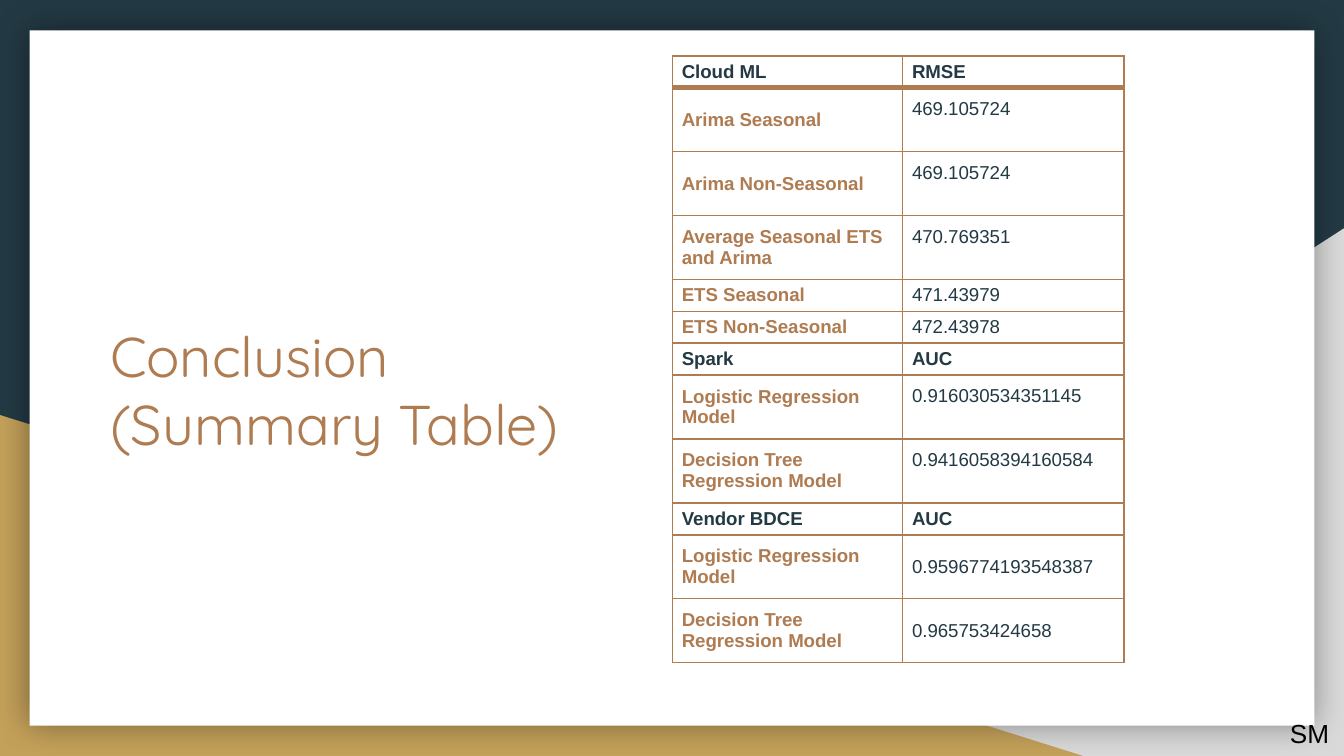
from dataclasses import dataclass

from lxml import etree
from pptx import Presentation
from pptx import util as u
from pptx.dml.color import RGBColor
from pptx.enum import shapes, text
from pptx.oxml import ns


@dataclass(frozen=True)
class Theme:
    navy: str = "233A44"
    copper: str = "AF7B51"
    gold: str = "C4A15A"
    grey: str = "D9D9D9"
    white: str = "FFFFFF"
    black: str = "000000"
    body_font: str = "Arial"
    title_font: str = "Quicksand"
    title_size: int = 30
    initials_size: int = 14
    table_size: int = 10


THEME = Theme()
WIDTH = u.Inches(10)
HEIGHT = WIDTH * 9 // 16

# Each section: metric header, then (model, score, row units, score at top)
SECTIONS = [
    ("Cloud ML", "RMSE", [
        ("Arima Seasonal", "469.105724", 2, True),
        ("Arima Non-Seasonal", "469.105724", 2, True),
        ("Average Seasonal ETS and Arima", "470.769351", 2, True),
        ("ETS Seasonal", "471.43979", 1, False),
        ("ETS Non-Seasonal", "472.43978", 1, False),
    ]),
    ("Spark", "AUC", [
        ("Logistic Regression Model", "0.916030534351145", 2, True),
        ("Decision Tree Regression Model", "0.9416058394160584", 2, True),
    ]),
    ("Vendor BDCE", "AUC", [
        ("Logistic Regression Model", "0.9596774193548387", 2, False),
        ("Decision Tree Regression Model", "0.965753424658", 2, False),
    ]),
]


def area(left, top, width, height):
    """Turn percentages of the slide into lengths."""
    return (int(WIDTH * left / 100), int(HEIGHT * top / 100),
            int(WIDTH * width / 100), int(HEIGHT * height / 100))


def paint(fill, color):
    fill.solid()
    fill.fore_color.rgb = RGBColor.from_string(color)


def add_span(para, words, size, color, font=THEME.body_font, bold=False):
    span = para.add_run()
    span.text = words
    span.font.name, span.font.size, span.font.bold = font, u.Pt(size), bold
    span.font.color.rgb = RGBColor.from_string(color)


def add_panel(page, preset, place, color, flip=False):
    panel = page.shapes.add_shape(preset, *area(*place))
    panel.shadow.inherit = False
    paint(panel.fill, color)
    panel.line.fill.background()
    if flip:
        panel.element.spPr.find(ns.qn("a:xfrm")).set("flipH", "1")
    return panel


def add_glow(panel, blur, opacity):
    effects = panel.element.spPr.find(ns.qn("a:effectLst"))
    shadow = etree.SubElement(effects, ns.qn("a:outerShdw"),
                              blurRad=str(u.Pt(blur)), dist="0", dir="0",
                              algn="ctr", rotWithShape="0")
    color = etree.SubElement(shadow, ns.qn("a:srgbClr"), val=THEME.black)
    etree.SubElement(color, ns.qn("a:alpha"), val=str(opacity * 1000))


def add_label(page, place, lines, size, color, font, wrap, inset, spacing=None):
    box = page.shapes.add_textbox(*area(*place))
    frame = box.text_frame
    frame.word_wrap = wrap
    frame.margin_left = frame.margin_right = u.Inches(0.1)
    frame.margin_top = frame.margin_bottom = u.Inches(inset)
    para = frame.paragraphs[0]
    para.line_spacing = spacing
    for number, line in enumerate(lines):
        if number:
            para.add_line_break()
        add_span(para, line, size, color, font)


def add_borders(cell, top, bottom):
    properties = cell._tc.get_or_add_tcPr()
    for side, points in (("L", 1), ("R", 1), ("T", top), ("B", bottom)):
        line = etree.SubElement(properties, ns.qn(f"a:ln{side}"),
                                w=str(u.Pt(points)))
        fill = etree.SubElement(line, ns.qn("a:solidFill"))
        etree.SubElement(fill, ns.qn("a:srgbClr"), val=THEME.copper)


def fill_cell(cell, words, color, bold, top_line, bottom_line, raised):
    add_borders(cell, top_line, bottom_line)
    paint(cell.fill, THEME.white)
    cell.vertical_anchor = text.MSO_ANCHOR.MIDDLE
    cell.margin_left = cell.margin_right = u.Inches(0.07)
    cell.margin_top = 0
    # A raised score sits on the first of two text lines
    cell.margin_bottom = u.Inches(0.16 if raised else 0)
    add_span(cell.text_frame.paragraphs[0], words, THEME.table_size, color,
             bold=bold)


def add_scores(page, place):
    rows = []
    for name, metric, models in SECTIONS:
        rows.append((name, metric, 1, False, True))
        rows += [(*model, False) for model in models]
    left, top, width, height = area(*place)
    table = page.shapes.add_table(len(rows), 2, left, top, width, height).table
    table.first_row = table.horz_banding = False
    table.columns[0].width = int(width * 0.51)
    table.columns[1].width = width - table.columns[0].width
    unit = height // sum(row[2] for row in rows)
    for index, (name, score, units, raised, header) in enumerate(rows):
        table.rows[index].height = unit * units
        lines = (3 if index == 1 else 1, 3 if index == 0 else 1)
        name_color = THEME.navy if header else THEME.copper
        fill_cell(table.cell(index, 0), name, name_color, True, *lines, False)
        fill_cell(table.cell(index, 1), score, THEME.navy, header, *lines,
                  raised)


def main():
    deck = Presentation()
    deck.slide_width, deck.slide_height = WIDTH, HEIGHT
    page = deck.slides.add_slide(deck.slide_layouts[6])

    # Backdrop and white card
    paint(page.background.fill, THEME.navy)
    triangle = shapes.MSO_SHAPE.RIGHT_TRIANGLE
    add_panel(page, triangle, (39.2, 30.2, 60.8, 69.8), THEME.grey, flip=True)
    add_panel(page, triangle, (0, 54.9, 80.6, 45.1), THEME.gold)
    card = add_panel(page, shapes.MSO_SHAPE.RECTANGLE, (2.2, 4, 95.6, 92),
                     THEME.white)
    add_glow(card, blur=18, opacity=40)

    # Presenter initials
    add_label(page, (95, 94, 5, 6), ["SM"], THEME.initials_size, THEME.black,
              THEME.body_font, wrap=False, inset=0.05)

    # Score table and title
    add_scores(page, (50.03, 7.4, 33.6, 80.3))
    add_label(page, (7.2, 40.8, 36.9, 18.5), ["Conclusion", "(Summary Table)"],
              THEME.title_size, THEME.copper, THEME.title_font, wrap=True,
              inset=0.1, spacing=u.Pt(36))

    deck.save("out.pptx")


if __name__ == "__main__":
    main()
